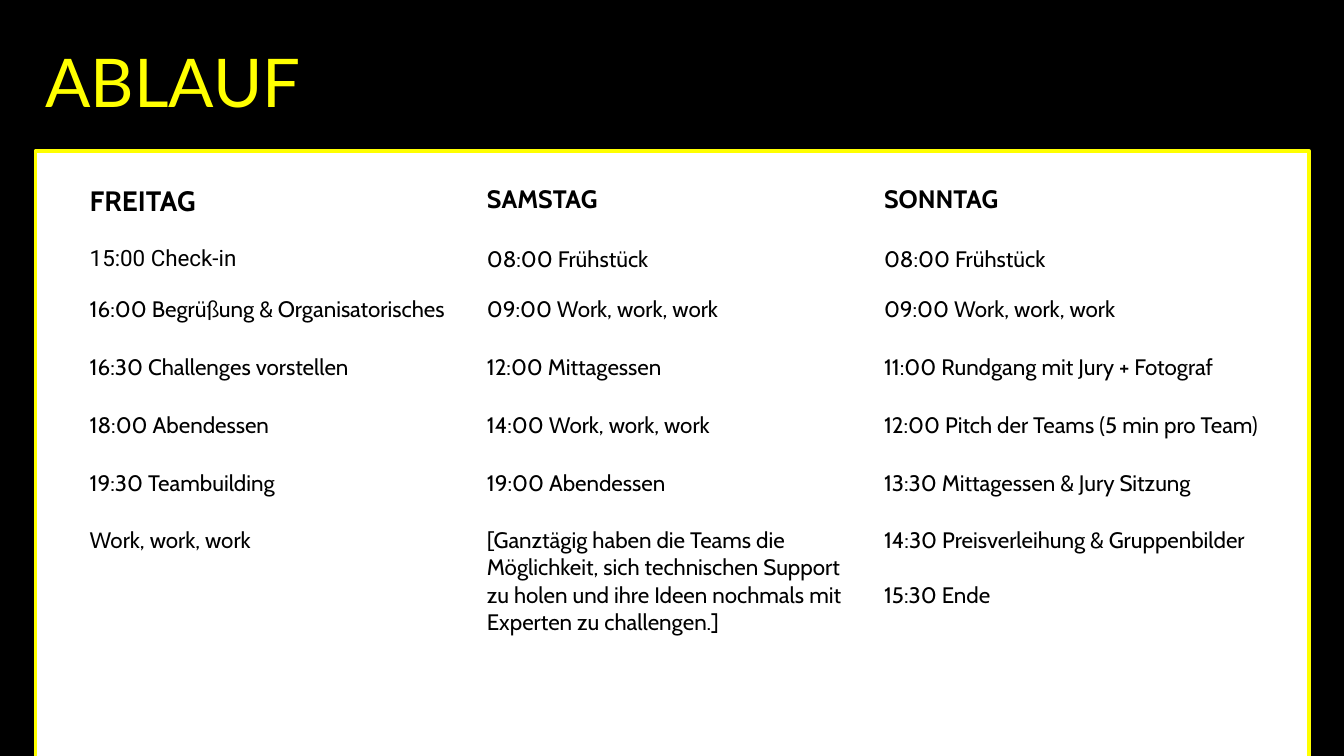
from dataclasses import dataclass

from pptx import Presentation
from pptx.dml.color import RGBColor
from pptx.enum.shapes import MSO_SHAPE
from pptx.enum.text import MSO_ANCHOR, MSO_AUTO_SIZE, PP_ALIGN
from pptx.slide import Slide
from pptx.table import _Cell as Cell
from pptx.util import Pt

BLACK = RGBColor(0x00, 0x00, 0x00)
WHITE = RGBColor(0xFF, 0xFF, 0xFF)
YELLOW = RGBColor(0xFF, 0xFF, 0x00)

COLUMN_WIDTH = 283.7
ROW_HEIGHTS = [43.8, 36] + [41.3] * 4 + [86]
ENTRY_SIZE = 16
ENTRY_GAP = 19.5


@dataclass(frozen=True)
class Day:
    name: str
    name_size: float
    entries: list[str]
    first_font: str = "Cabin"


# A line break inside an entry starts a new paragraph in the same cell
DAYS = [
    Day("FREITAG", 20, [
        "15:00 Check-in",
        "16:00 Begrüßung & Organisatorisches",
        "16:30 Challenges vorstellen",
        "18:00 Abendessen",
        "19:30 Teambuilding",
        "Work, work, work",
    ], first_font="Roboto"),
    Day("SAMSTAG", 18, [
        "08:00 Frühstück",
        "09:00 Work, work, work",
        "12:00 Mittagessen",
        "14:00 Work, work, work",
        "19:00 Abendessen",
        "[Ganztägig haben die Teams die Möglichkeit, sich technischen Support "
        "zu holen und ihre Ideen nochmals mit Experten zu challengen.]",
    ]),
    Day("SONNTAG", 18, [
        "08:00 Frühstück",
        "09:00 Work, work, work",
        "11:00 Rundgang mit Jury + Fotograf",
        "12:00 Pitch der Teams (5 min pro Team)",
        "13:30 Mittagessen & Jury Sitzung",
        "14:30 Preisverleihung & Gruppenbilder\n15:30 Ende",
    ]),
]


def add_panel(slide: Slide) -> None:
    panel = slide.shapes.add_shape(
        MSO_SHAPE.RECTANGLE, Pt(25.2), Pt(108), Pt(910), Pt(496.8))
    panel.shadow.inherit = False
    panel.fill.solid()
    panel.fill.fore_color.rgb = WHITE
    panel.line.color.rgb = YELLOW
    panel.line.width = Pt(2.5)


def format_title(slide: Slide, text: str) -> None:
    title = slide.shapes.title
    title.left, title.top = Pt(25.2), Pt(25.2)
    title.width, title.height = Pt(845.3), Pt(65.5)
    frame = title.text_frame
    frame.text = text
    frame.word_wrap = True
    frame.auto_size = MSO_AUTO_SIZE.SHAPE_TO_FIT_TEXT
    frame.vertical_anchor = MSO_ANCHOR.TOP
    para = frame.paragraphs[0]
    para.alignment = PP_ALIGN.LEFT
    para.font.name = "Lato"
    para.font.size = Pt(48)
    para.font.color.rgb = YELLOW


def fill_cell(cell: Cell, text: str, size: float, font: str, bold: bool) -> None:
    cell.fill.background()
    cell.text_frame.text = text
    for index, para in enumerate(cell.text_frame.paragraphs):
        if index > 0:
            para.space_before = Pt(ENTRY_GAP)
        para.font.name = font
        para.font.size = Pt(size)
        para.font.bold = bold
        para.font.color.rgb = BLACK


def add_schedule(slide: Slide, days: list[Day]) -> None:
    table = slide.shapes.add_table(
        len(ROW_HEIGHTS), len(days), Pt(56.9), Pt(128.2),
        Pt(COLUMN_WIDTH * len(days)), Pt(sum(ROW_HEIGHTS))).table
    table.horz_banding = False
    for row, height in zip(table.rows, ROW_HEIGHTS):
        row.height = Pt(height)
    for column, day in enumerate(days):
        table.columns[column].width = Pt(COLUMN_WIDTH)
        fill_cell(table.cell(0, column), day.name, day.name_size, "Cabin", True)
        for row, entry in enumerate(day.entries, start=1):
            font = day.first_font if row == 1 else "Cabin"
            fill_cell(table.cell(row, column), entry, ENTRY_SIZE, font, False)


def main() -> None:
    deck = Presentation()
    deck.slide_width, deck.slide_height = Pt(960), Pt(540)

    # Title on a black page
    page = deck.slides.add_slide(deck.slide_layouts[5])
    page.background.fill.solid()
    page.background.fill.fore_color.rgb = BLACK
    format_title(page, "ABLAUF")

    # Framed schedule
    add_panel(page)
    add_schedule(page, DAYS)

    deck.save("out.pptx")


if __name__ == "__main__":
    main()
